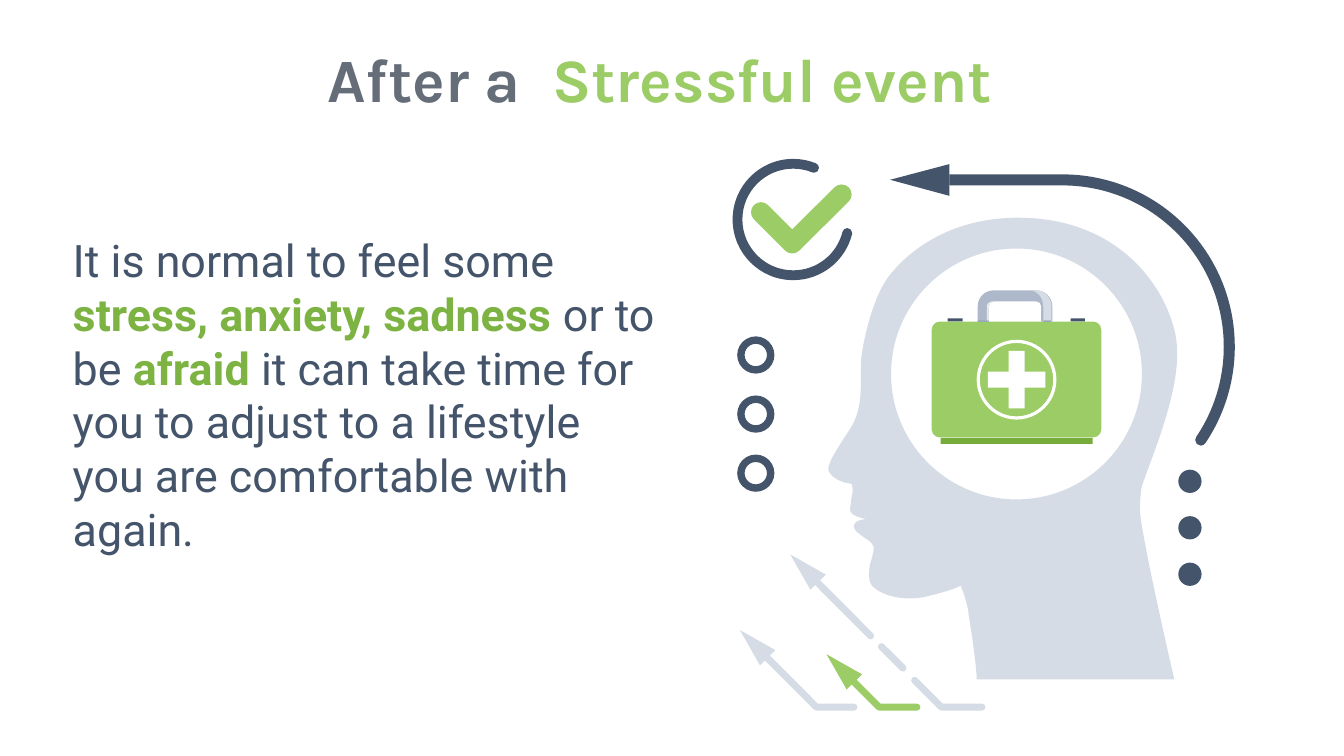
import math

from lxml import etree
from pptx import Presentation
from pptx.dml.color import RGBColor
from pptx.enum.shapes import MSO_SHAPE
from pptx.enum.text import PP_ALIGN
from pptx.oxml.ns import qn
from pptx.util import Pt

ELLIPSE = MSO_SHAPE.OVAL
DONUT = MSO_SHAPE.DONUT
RECTANGLE = MSO_SHAPE.RECTANGLE
ROUNDED = MSO_SHAPE.ROUNDED_RECTANGLE
CENTER = PP_ALIGN.CENTER
LEFT = PP_ALIGN.LEFT

COLORS = {
    "title": "656D78", "green": "9CCC65", "emphasis": "7CB342",
    "navy": "44546A", "pale": "D6DCE5", "white": "FFFFFF",
    "bag_base": "76AC39", "handle": "ADB9CA", "gleam": "E9E9E9",
    "hinge": "8497B0",
}

FACE = [
    (607, 306.7), (616.3, 293, 614.9, 275, 614.9, 262.1),
    (614.9, 248.4, 622.8, 215.3, 632.9, 200.2),
    (638.6, 191.5, 667.4, 155.5, 727.2, 155.5),
    (802.1, 155.5, 835.2, 208.8, 840.2, 242.6),
    (845.3, 275.8, 821.5, 329, 816.5, 344.9),
    (815, 347.8, 814.3, 355, 814.3, 365),
    (815, 382.3, 838.8, 485.3, 838.8, 485.3), (697.7, 485.3),
    (697.7, 485.3, 697.7, 473.8, 691.9, 439.2),
    (691.9, 434.9, 689, 424.8, 686.2, 418.3),
    (682, 420.5, 676.1, 422.6, 661, 426.2),
    (644.4, 429.8, 628.6, 424.8, 622.8, 418.3),
    (619.9, 414.7, 620.6, 409, 621.4, 403.2),
    (622.8, 398.9, 624.2, 393.8, 624.2, 391),
    (623.5, 386.6, 617, 384.5, 613.4, 380.9),
    (612, 380.2, 611.3, 379.4, 610.6, 378),
    (608.4, 373.7, 612, 371.5, 618.5, 370.8),
    (614.9, 370.1, 608.4, 367.9, 607.7, 365.8),
    (607, 364.3, 607, 362.9, 607.7, 360.7),
    (607.7, 357.8, 608.4, 355, 609.1, 351.4),
    (609.1, 349.9, 609.1, 348.5, 608.4, 345.6),
    (601.2, 344.9, 594, 341.3, 591.8, 336.2),
    (590.4, 331.9, 597.6, 321.1, 607, 306.7),
]
HANDLE = [
    (698.4, 229.7), (698.4, 218.9), (698.4, 212.4, 703.4, 207.4, 709.9, 207.4),
    (740.2, 207.4), (746.6, 207.4, 751.7, 212.4, 751.7, 218.9),
    (751.7, 229.7), (743.8, 229.7), (743.8, 218.9),
    (743.8, 216.7, 742.3, 215.3, 740.2, 215.3), (709.9, 215.3),
    (707.8, 215.3, 706.3, 216.7, 706.3, 218.9), (706.3, 229.7),
]
HANDLE_SHADE = [
    (735.1, 207.4), (740.2, 207.4), (745.9, 207.4, 751, 212.4, 751, 218.9),
    (751, 229), (745.2, 229), (745.2, 218.9),
    (745.2, 212.4, 740.9, 207.4, 735.1, 207.4),
]
HANDLE_GLEAM = [
    (708.5, 215.3), (709.9, 215.3), (707.8, 215.3, 706.3, 216.7, 706.3, 219.6),
    (706.3, 229.7), (704.9, 229), (704.9, 219.6),
    (704.9, 216.7, 706.3, 215.3, 708.5, 215.3),
]


def rgb(name):
    return RGBColor.from_string(COLORS[name])


def paint(shape, color):
    shape.shadow.inherit = False
    shape.fill.solid()
    shape.fill.fore_color.rgb = rgb(color)
    shape.line.fill.background()


def add_text(slide, box, runs, size, font, align):
    frame = slide.shapes.add_textbox(*map(Pt, box)).text_frame
    frame.word_wrap = True
    paragraph = frame.paragraphs[0]
    paragraph.alignment = align
    for text, color, bold in runs:
        run = paragraph.add_run()
        run.text = text
        run.font.name = font
        run.font.size = Pt(size)
        run.font.bold = bold
        run.font.color.rgb = rgb(color)


def add_preset(slide, kind, box, color, adjustment=None):
    shape = slide.shapes.add_shape(kind, *map(Pt, box))
    if adjustment is not None:
        shape.adjustments[0] = adjustment
    paint(shape, color)


def bend(shape, node, segment):
    curve = etree.Element(qn("a:cubicBezTo"))
    for x, y in zip(segment[::2], segment[1::2]):
        etree.SubElement(curve, qn("a:pt"), x=str(Pt(x) - shape.left),
                         y=str(Pt(y) - shape.top))
    node.getparent().replace(node, curve)


def add_outline(slide, color, *contours):
    builder = slide.shapes.build_freeform(*map(Pt, contours[0][0]), scale=1.0)
    segments = []
    for index, contour in enumerate(contours):
        if index:
            builder.move_to(*map(Pt, contour[0]))
        ends = [(Pt(segment[-2]), Pt(segment[-1])) for segment in contour[1:]]
        builder.add_line_segments(ends, close=True)
        segments += contour[1:]
    shape = builder.convert_to_shape()
    for node, segment in zip(list(shape.element.iter(qn("a:lnTo"))), segments):
        if len(segment) == 6:
            bend(shape, node, segment)
    paint(shape, color)


def arc(center, radius, start, end):
    def point(angle, tangent=0):
        cosine, sine = math.cos(math.radians(angle)), math.sin(math.radians(angle))
        return (center[0] + radius * (cosine - tangent * sine),
                center[1] + radius * (sine + tangent * cosine))

    low, high = sorted((start, end))
    quarters = [angle for angle in range(-360, 721, 90) if low + 1 < angle < high - 1]
    stops = sorted([start, *quarters, end], reverse=start > end)
    segments = [point(start)]
    for first, last in zip(stops, stops[1:]):
        pull = 4 / 3 * math.tan(math.radians(last - first) / 4)
        segments.append(point(first, pull) + point(last, -pull) + point(last))
    return segments


def add_stroke(slide, points, width, color):
    half = width / 2
    loop = points + points[-2:0:-1]
    outline = []
    for index, (x, y) in enumerate(loop):
        before = loop[index - 1]
        after = loop[(index + 1) % len(loop)]
        heading = math.atan2(y - before[1], x - before[0])
        limit = math.pi + 0.01
        change = math.atan2(after[1] - y, after[0] - x) - heading
        turn = limit - (limit - change) % math.tau
        if turn < 0:
            angle = heading + turn / 2 - math.pi / 2
            reach = half / math.cos(turn / 2)
            outline.append((x + reach * math.cos(angle), y + reach * math.sin(angle)))
        else:
            first = math.degrees(heading) - 90
            outline += arc((x, y), half, first, first + math.degrees(turn))
    add_outline(slide, color, outline)


def arc_band(center, radius, width, start, end):
    half = width / 2
    tip = arc(center, radius, start, end)[-1][-2:]
    return (arc(center, radius + half, start, end) + arc(tip, half, end, end + 180)
            + arc(center, radius - half, end, start))


def add_small_arrowhead(slide, x, y, color):
    add_outline(slide, color, [(x, y), (x + 25.4, y + 14.4), (x + 14.4, y + 25.2)])


def add_elbow(slide, x, rise, run, color):
    base = 505.1
    add_stroke(slide, [(x - rise, base - rise), (x, base), (x + run, base)], 5, color)


def add_arrows(slide):
    band = arc_band((758.9, 247.7), 119.2, 7.9, -90, 34)
    add_outline(slide, "navy", [(678.2, 124.55), *band, (678.2, 132.45)])
    add_outline(slide, "navy", [(678.2, 117.2), (678.2, 139.9), (635.8, 128.4)])
    add_elbow(slide, 583.2, 38.9, 26.8, "pale")
    add_elbow(slide, 628, 21.4, 27, "green")
    add_elbow(slide, 672.4, 19.1, 29, "pale")
    add_stroke(slide, [(580.3, 412.4), (621.9, 454.2)], 5, "pale")
    add_stroke(slide, [(629.6, 461.9), (645, 477.2)], 5, "pale")
    for x, y, color in ((528.5, 450, "pale"), (590.4, 467.3, "green"), (564.5, 396, "pale")):
        add_small_arrowhead(slide, x, y, color)


def add_check_and_dots(slide):
    center, radius, width, start, end = (566.6, 156.8), 39.8, 7, 14, 292
    tail = arc(center, radius, start, end)[0]
    add_outline(slide, "navy", arc_band(center, radius, width, start, end)
                + arc(tail, width / 2, start + 180, start + 360))
    add_stroke(slide, [(543.6, 151.6), (565.9, 173.9), (601.2, 138.9)], 14.3, "green")
    for row in range(3):
        add_preset(slide, DONUT, (526.6, 240.3 + 42.2 * row, 26.6, 26.6), "navy", 0.2)
        add_preset(slide, ELLIPSE, (841.7, 335.5 + 33.2 * row, 16.6, 16.6), "navy")


def add_first_aid_bag(slide):
    add_preset(slide, ROUNDED, (665.5, 229.7, 121.2, 82.8), "green", 0.07)
    for color, segments in (("handle", HANDLE), ("pale", HANDLE_SHADE),
                            ("gleam", HANDLE_GLEAM)):
        add_outline(slide, color, segments)
    add_preset(slide, DONUT, (697.6, 242.7, 57, 57), "white", 0.04)
    for box, color in (
        ((671.8, 312.8, 108.7, 4.3), "bag_base"),
        ((720.5, 250.7, 11.4, 41), "white"),
        ((705.7, 265.5, 41, 11.4), "white"),
        ((677, 227.4, 10.6, 2.2), "navy"),
        ((764.8, 227.4, 10.2, 2.2), "navy"),
        ((698.4, 229, 7.9, 0.7), "hinge"),
        ((745.2, 229, 5.4, 0.7), "hinge"),
    ):
        add_preset(slide, RECTANGLE, box, color)


def main():
    presentation = Presentation()
    presentation.slide_width, presentation.slide_height = Pt(960), Pt(540)
    slide = presentation.slides.add_slide(presentation.slide_layouts[6])
    add_text(slide, (174.2, 25.9, 594.7, 60.5),
             [("After a  ", "title", True), ("Stressful event", "green", True)],
             44, "Karla", CENTER)
    add_text(slide, (44.9, 162.7, 434.9, 239.8), [
        ("It is normal to feel some ", "navy", False),
        ("stress, anxiety, sadness ", "emphasis", True),
        ("or to be ", "navy", False),
        ("afraid", "emphasis", True),
        (" it can take time for you to adjust to a lifestyle you are comfortable with again.",
         "navy", False),
    ], 32, "Roboto", LEFT)
    add_arrows(slide)
    add_check_and_dots(slide)
    add_first_aid_bag(slide)
    add_outline(slide, "pale", FACE, arc((726.1, 267.1), 89.6, 0, 360))
    presentation.save("out.pptx")


if __name__ == "__main__":
    main()
